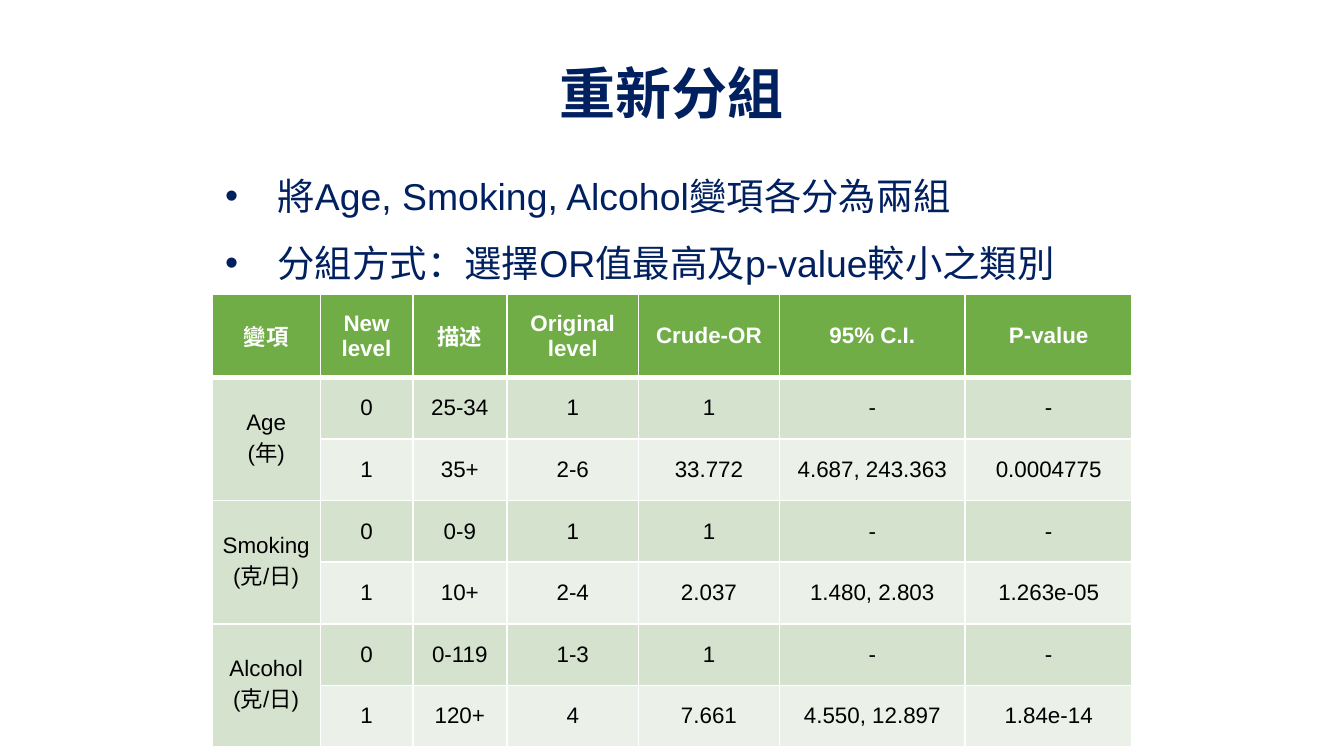
from lxml.etree import SubElement
from pptx import Presentation
from pptx.dml.color import RGBColor
from pptx.enum.text import MSO_ANCHOR as Anchor, MSO_AUTO_SIZE as AutoSize, PP_ALIGN as Align
from pptx.oxml import parse_xml
from pptx.oxml.ns import nsdecls, qn
from pptx.util import Pt

TITLE = "重新分組"
POINTS = [
    "將Age, Smoking, Alcohol變項各分為兩組",
    "分組方式：選擇OR值最高及p-value較小之類別",
]
HEADINGS = ["變項", "New level", "描述", "Original level", "Crude-OR", "95% C.I.", "P-value"]
VARIABLES = [
    ("Age\n(年)", [
        ["0", "25-34", "1", "1", "-", "-"],
        ["1", "35+", "2-6", "33.772", "4.687, 243.363", "0.0004775"],
    ]),
    ("Smoking\n(克/日)", [
        ["0", "0-9", "1", "1", "-", "-"],
        ["1", "10+", "2-4", "2.037", "1.480, 2.803", "1.263e-05"],
    ]),
    ("Alcohol\n(克/日)", [
        ["0", "0-119", "1-3", "1", "-", "-"],
        ["1", "120+", "4", "7.661", "4.550, 12.897", "1.84e-14"],
    ]),
]
COLORS = {"navy": "002060", "white": "FFFFFF", "black": "000000",
          "header": "70AD47", "first": "D4E2CE", "second": "EBF1E8"}
COLUMN_WIDTHS = [58, 49.5, 50.5, 70.5, 75.5, 99.5, 89.5]
HEADER_HEIGHT, ROW_HEIGHT = 44.5, 33


def write(frame, text, *, size, color, bold=False, align=Align.CENTER, spacing=None):
    """Fill a text frame with one formatted paragraph per line."""
    frame.text = text
    for paragraph in frame.paragraphs:
        paragraph.alignment = align
        if spacing:
            paragraph.line_spacing = spacing
        font = paragraph.runs[0].font
        font.name, font.size, font.bold = "Arial", Pt(size), bold
        font.color.rgb = RGBColor.from_string(COLORS[color])


def set_box(shape, left, top, width, height):
    """Place a text shape and give it its margins."""
    shape.left, shape.top, shape.width, shape.height = map(Pt, (left, top, width, height))
    frame = shape.text_frame
    frame.word_wrap, frame.auto_size = True, AutoSize.NONE
    frame.margin_left = frame.margin_right = Pt(5.4)
    frame.margin_top = frame.margin_bottom = Pt(2.7)
    return frame


def add_bullet(paragraph):
    """Give a paragraph a hanging navy bullet."""
    properties = paragraph._p.get_or_add_pPr()
    properties.set("marL", str(Pt(36)))
    properties.set("indent", str(Pt(-28.1)))
    bullet_color = SubElement(properties, qn("a:buClr"))
    SubElement(bullet_color, qn("a:srgbClr")).set("val", COLORS["navy"])
    SubElement(properties, qn("a:buFont")).set("typeface", "Arial")
    SubElement(properties, qn("a:buChar")).set("char", "•")


def format_cell(cell, fill, top=1, bottom=1, margins=(5, 2.9)):
    """Set the fill, margins and white borders of a table cell."""
    cell.vertical_anchor = Anchor.MIDDLE
    cell.margin_left = cell.margin_right = Pt(margins[0])
    cell.margin_top = cell.margin_bottom = Pt(margins[1])
    cell.fill.solid()
    cell.fill.fore_color.rgb = RGBColor.from_string(COLORS[fill])
    properties = cell._tc.get_or_add_tcPr()
    for place, (side, width) in enumerate(zip("LRTB", (1, 1, top, bottom))):
        properties.insert(place, parse_xml(
            f'<a:ln{side} {nsdecls("a")} w="{Pt(width)}"><a:solidFill>'
            f'<a:srgbClr val="{COLORS["white"]}"/></a:solidFill></a:ln{side}>'))


def add_groups_table(slide):
    """Add the table of regrouped variables."""
    body = [[name if level == 0 else "", *values]
            for name, levels in VARIABLES for level, values in enumerate(levels)]
    rows = [HEADINGS, *body]
    heights = [HEADER_HEIGHT] + [ROW_HEIGHT] * len(body)
    frame = slide.shapes.add_table(len(rows), len(HEADINGS), Pt(113.6), Pt(157.7),
                                   Pt(sum(COLUMN_WIDTHS)), Pt(sum(heights)))
    table = frame.table
    for column, width in zip(table.columns, COLUMN_WIDTHS):
        column.width = Pt(width)
    for row, height in zip(table.rows, heights):
        row.height = Pt(height)
    for r, values in enumerate(rows):
        for c, value in enumerate(values):
            cell = table.cell(r, c)
            header = r == 0
            fill = "header" if header else "first" if c == 0 or r % 2 else "second"
            tight = r == len(rows) - 1 and c >= 4
            format_cell(cell, fill, top=3 if r == 1 else 1, bottom=3 if header else 1,
                        margins=(2.2, 2.2) if tight else (5, 2.9))
            if value:
                write(cell.text_frame, value, size=12, bold=header,
                      color="white" if header else "black")
    for r in range(1, len(rows), 2):
        table.cell(r, 0).merge(table.cell(r + 1, 0))


def main():
    """Build the slide and save it."""
    deck = Presentation()
    deck.slide_width, deck.slide_height = Pt(720), Pt(405)
    slide = deck.slides.add_slide(deck.slide_layouts[5])

    title = set_box(slide.shapes.title, 49.7, 38, 620.6, 27.4)
    title.vertical_anchor = Anchor.MIDDLE
    write(title, TITLE, size=30, color="navy", bold=True, spacing=0.9)

    points = set_box(slide.shapes.add_textbox(0, 0, 0, 0), 107.3, 78, 492.5, 95.8)
    write(points, "\n".join(POINTS), size=20, color="navy", align=Align.JUSTIFY, spacing=1.5)
    for paragraph in points.paragraphs:
        add_bullet(paragraph)

    add_groups_table(slide)
    deck.save("out.pptx")


if __name__ == "__main__":
    main()
